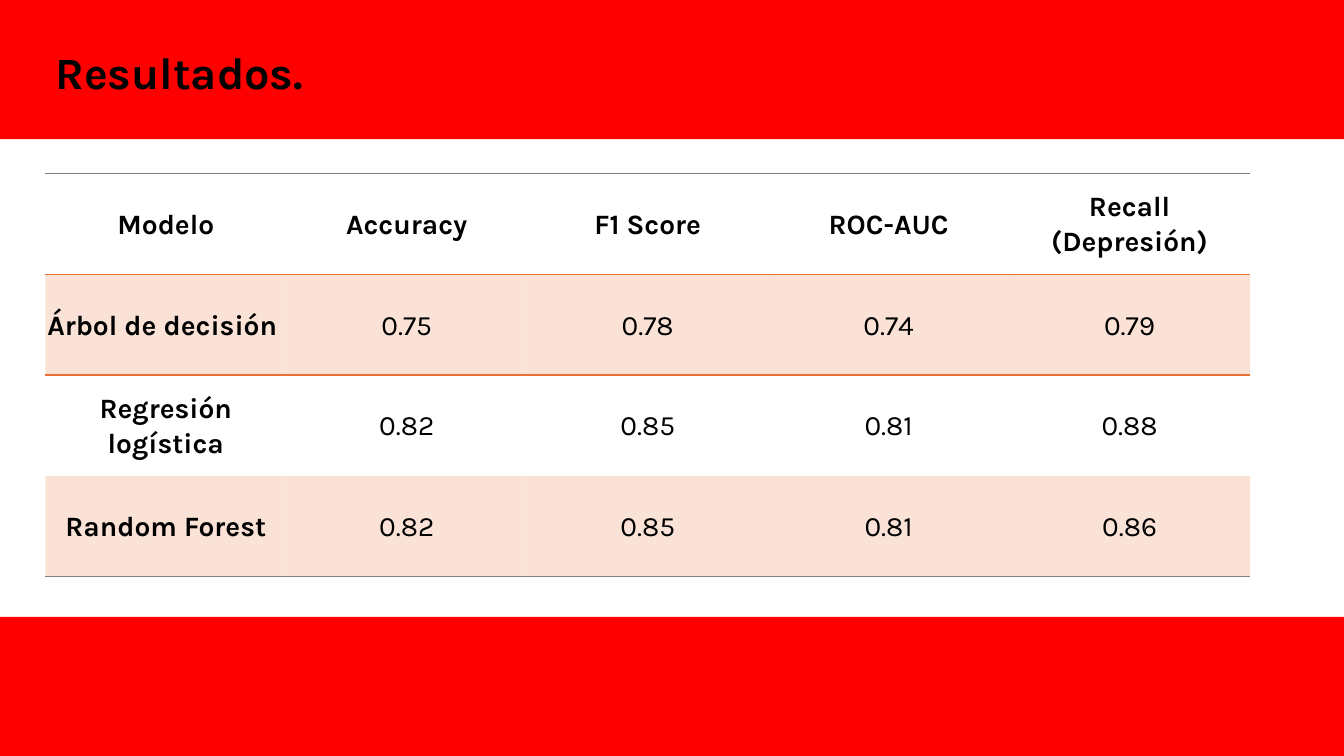
from lxml import etree
from pptx import Presentation
from pptx.dml.color import RGBColor
from pptx.enum import shapes, text
from pptx.oxml import ns
from pptx.util import Inches, Pt

RED = RGBColor(0xFF, 0x00, 0x00)
BLACK = RGBColor(0x00, 0x00, 0x00)
ORANGE = RGBColor(0xE9, 0x71, 0x32)
GREY = RGBColor(0x80, 0x80, 0x80)

FONT = "Karla"
PLAIN_TABLE_STYLE = "{2D5ABB26-0587-4C30-8999-92F81FD0307C}"
PAGE_WIDTH, PAGE_HEIGHT, BAND_HEIGHT = 13.33, 7.5, 1.38
COLUMN_WIDTH, ROW_HEIGHT = 2.39, 1

RESULTS = [
    ["Modelo", "Accuracy", "F1 Score", "ROC-AUC", "Recall (Depresión)"],
    ["Árbol de decisión ", "0.75", "0.78", "0.74", "0.79"],
    ["Regresión logística", "0.82", "0.85", "0.81", "0.88"],
    ["Random Forest", "0.82", "0.85", "0.81", "0.86"],
]


def add_band(page, top):
    band = page.shapes.add_shape(
        shapes.MSO_SHAPE.RECTANGLE,
        Inches(0), Inches(top), Inches(PAGE_WIDTH), Inches(BAND_HEIGHT),
    )
    band.shadow.inherit = False
    band.fill.solid()
    band.fill.fore_color.rgb = RED
    band.line.fill.background()


def add_span(para, words, size, bold):
    span = para.add_run()
    span.text = words
    span.font.name = FONT
    span.font.size = Pt(size)
    span.font.bold = bold
    span.font.color.rgb = BLACK


def add_title(page, words):
    box = page.shapes.add_textbox(
        Inches(0.45), Inches(0.39), Inches(12.43), Inches(0.94)
    )
    box.text_frame.word_wrap = True
    add_span(box.text_frame.paragraphs[0], words, 32, True)


def set_borders(cell, borders):
    properties = cell._tc.get_or_add_tcPr()
    for position, (side, color) in enumerate(borders.items()):
        line = etree.Element(ns.qn(f"a:{side}"), w=str(Pt(1)))
        fill = etree.SubElement(line, ns.qn("a:solidFill"))
        etree.SubElement(fill, ns.qn("a:srgbClr"), val=str(color))
        properties.insert(position, line)


def tint_cell(cell):
    cell.fill.solid()
    cell.fill.fore_color.rgb = ORANGE
    color = cell._tc.tcPr.find(".//" + ns.qn("a:srgbClr"))
    etree.SubElement(color, ns.qn("a:alpha"), val="20000")


def write_cell(cell, words, bold):
    cell.vertical_anchor = text.MSO_ANCHOR.MIDDLE
    cell.margin_left = cell.margin_right = Inches(0.01)
    cell.margin_top = cell.margin_bottom = Inches(0.01)
    para = cell.text_frame.paragraphs[0]
    para.alignment = text.PP_ALIGN.CENTER
    para.line_spacing = 1.07
    para.space_after = Pt(8)
    add_span(para, words, 20, bold)


def add_results_table(page, rows):
    row_count, column_count = len(rows), len(rows[0])
    frame = page.shapes.add_table(
        row_count, column_count, Inches(0.45), Inches(1.72),
        Inches(column_count * COLUMN_WIDTH), Inches(row_count * ROW_HEIGHT),
    )
    table = frame.table
    table._tbl.tblPr.find(ns.qn("a:tableStyleId")).text = PLAIN_TABLE_STYLE
    row_borders = {
        0: {"lnT": GREY, "lnB": ORANGE},
        1: {"lnT": ORANGE},
        row_count - 1: {"lnB": GREY},
    }
    for row_index, row in enumerate(rows):
        for column_index, words in enumerate(row):
            cell = table.cell(row_index, column_index)
            write_cell(cell, words, row_index == 0 or column_index == 0)
            if row_index % 2:
                tint_cell(cell)
            else:
                cell.fill.background()
            set_borders(cell, row_borders.get(row_index, {}))


def main():
    deck = Presentation()
    deck.slide_width = Inches(PAGE_WIDTH)
    deck.slide_height = Inches(PAGE_HEIGHT)
    page = deck.slides.add_slide(deck.slide_layouts[6])
    for top in (0, PAGE_HEIGHT - BAND_HEIGHT):
        add_band(page, top)
    add_title(page, "Resultados.")
    add_results_table(page, RESULTS)
    deck.save("out.pptx")


if __name__ == "__main__":
    main()
